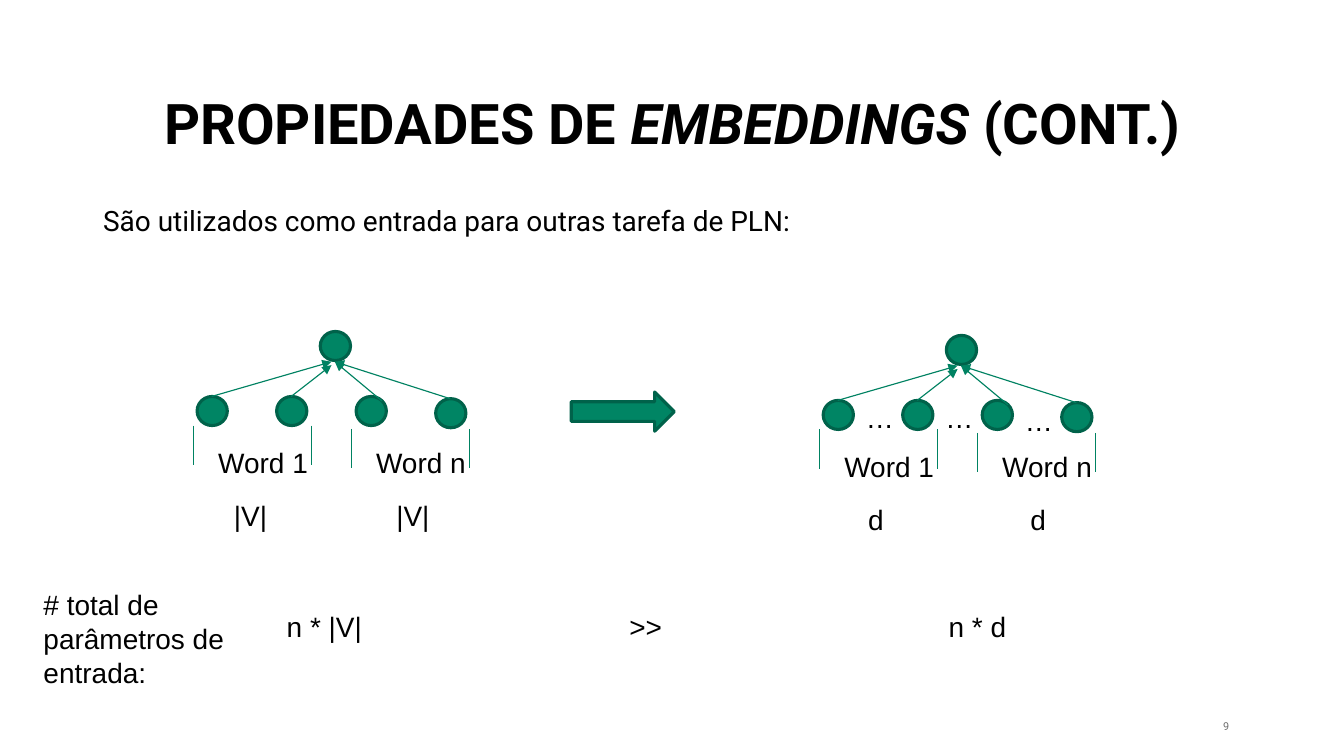
from lxml.etree import SubElement
from pptx import Presentation
from pptx.dml.color import RGBColor as RGB
from pptx.enum.shapes import MSO_CONNECTOR as CXN, MSO_SHAPE as SHP
from pptx.enum.text import MSO_ANCHOR as ANC, MSO_AUTO_SIZE as FIT, PP_ALIGN as AL
from pptx.oxml.ns import qn
from pptx.util import Inches, Pt

COLORS = {
    "ink": "000000",
    "muted": "6E6E6E",
    "node": "008564",
    "edge": "00624A",
    "link": "008262",
}
CELL = Inches(0.1)
COLS, ROWS = 120, 67.5
LEAF_STEP = 7.1
WORD_STEP = 14.1


def grid(*cells):
    return [round(c * CELL) for c in cells]


def color(name):
    return RGB.from_string(COLORS[name])


def write(p, text, font="Arial", size=18, ink="ink", bold=None, italic=None):
    r = p.add_run()
    r.text = text
    f = r.font
    f.name, f.size, f.bold, f.italic = font, Pt(size), bold, italic
    f.color.rgb = color(ink)


def label(shapes, text, box, inset=1, wrap=True, **fmt):
    s = shapes.add_textbox(*grid(*box))
    tf = s.text_frame
    tf.word_wrap = wrap
    tf.auto_size = FIT.SHAPE_TO_FIT_TEXT
    tf.margin_left = grid(inset)[0]
    write(tf.paragraphs[0], text, **fmt)
    return s


def solid(shapes, kind, box):
    s = shapes.add_shape(kind, *grid(*box))
    s.shadow.inherit = False
    s.fill.solid()
    s.fill.fore_color.rgb = color("node")
    s.line.color.rgb = color("edge")
    s.line.width = Pt(2)


def line(shapes, start, end, arrow=False):
    c = shapes.add_connector(CXN.STRAIGHT, *grid(*start, *end))
    c.line.color.rgb = color("link")
    c.line.width = Pt(0.75)
    if arrow:
        SubElement(c.line._get_or_add_ln(), qn("a:tailEnd"), type="triangle")
    SubElement(c._element.spPr, qn("a:effectLst"))


def tree(slide, x, y, size, size_inset=1, dots=False):
    shapes = slide.shapes.add_group_shape().shapes
    solid(shapes, SHP.OVAL, (x + 11.3, y, 2.7, 2.6))
    for i, drop in enumerate((5.8, 5.8, 5.8, 6)):
        solid(shapes, SHP.OVAL, (x + 0.3 + i * LEAF_STEP, y + drop, 2.7, 2.6))
    links = (((1.6, 5.8), (12.3, 2.7)), ((8.7, 5.8), (12.3, 3)),
             ((16.8, 6.2), (12.6, 2.7)), ((22.9, 6), (12.6, 2.7)))
    for (x1, y1), (x2, y2) in links:
        line(shapes, (x + x1, y + y1), (x + x2, y + y2), arrow=True)
    if dots:
        for i, drop in enumerate((5.3, 5.3, 5.6)):
            label(shapes, "…", (x + 4.1 + i * LEAF_STEP, y + drop, 0.8, 4))
    for i, word in enumerate(("Word 1", "Word n")):
        left = x + i * WORD_STEP
        top = y + 8.4 + i * 0.3
        for tick in (left, left + 10.5):
            line(shapes, (tick, top), (tick, top + 3.5))
        label(shapes, word, (left + 1.2, y + 9.7, 10.1, 4), wrap=False)
        label(shapes, size, (x + 2.6 + i * 14.5, y + 14.4, 5.8, 4),
              inset=size_inset)


def place(s, box):
    s.left, s.top, s.width, s.height = grid(*box)
    tf = s.text_frame
    tf.word_wrap = True
    tf.auto_size = FIT.NONE
    p = tf.paragraphs[0]
    p.line_spacing = 0.9
    return tf, p


def headings(slide):
    tf, p = place(slide.shapes.title, (5.5, 8, 109.1, 6.5))
    tf.vertical_anchor = ANC.BOTTOM
    p.alignment = AL.CENTER
    for text, italic in (("PROPIEDADES DE ", False), ("EMBEDDINGS ", True),
                         ("(CONT.)", False)):
        write(p, text, font="Roboto", size=36, bold=True, italic=italic)

    tf, p = place(slide.placeholders[1], (8.2, 18, 103.5, 6.3))
    tf.vertical_anchor = ANC.TOP
    p.space_before = p.space_after = Pt(9)
    pPr = p._p.get_or_add_pPr()
    pPr.set("marL", "0")
    pPr.set("indent", "0")
    SubElement(pPr, qn("a:buNone"))
    write(p, "São utilizados como entrada para outras tarefa de PLN:",
          font="Roboto")


def page_number(slide):
    s = label(slide.shapes, "9", (106.6, 64.1, 3.5, 1.5), inset=0,
              font="Roboto", size=7, ink="muted")
    tf = s.text_frame
    tf.margin_top = tf.margin_bottom = 0
    tf.margin_right = grid(0.35)[0]
    tf.vertical_anchor = ANC.MIDDLE
    tf.paragraphs[0].alignment = AL.RIGHT


def main():
    prs = Presentation()
    prs.slide_width, prs.slide_height = grid(COLS, ROWS)
    slide = prs.slides.add_slide(prs.slide_layouts[1])
    headings(slide)
    tree(slide, 17.3, 29.6, "|V|")
    solid(slide.shapes, SHP.RIGHT_ARROW, (51, 35, 9.2, 3.5))
    tree(slide, 73.2, 29.95, "d", size_inset=1.7, dots=True)
    label(slide.shapes, "# total de parâmetros de entrada:", (2.9, 52, 19, 10.1))
    for text, left, inset in (("n * |V|", 23.9, 1.7), (">>", 51, 5.2),
                              ("n * d", 80.2, 4.5)):
        label(slide.shapes, text, (left, 53.9, 11.3, 4), inset=inset)
    page_number(slide)
    prs.save("out.pptx")


if __name__ == "__main__":
    main()
